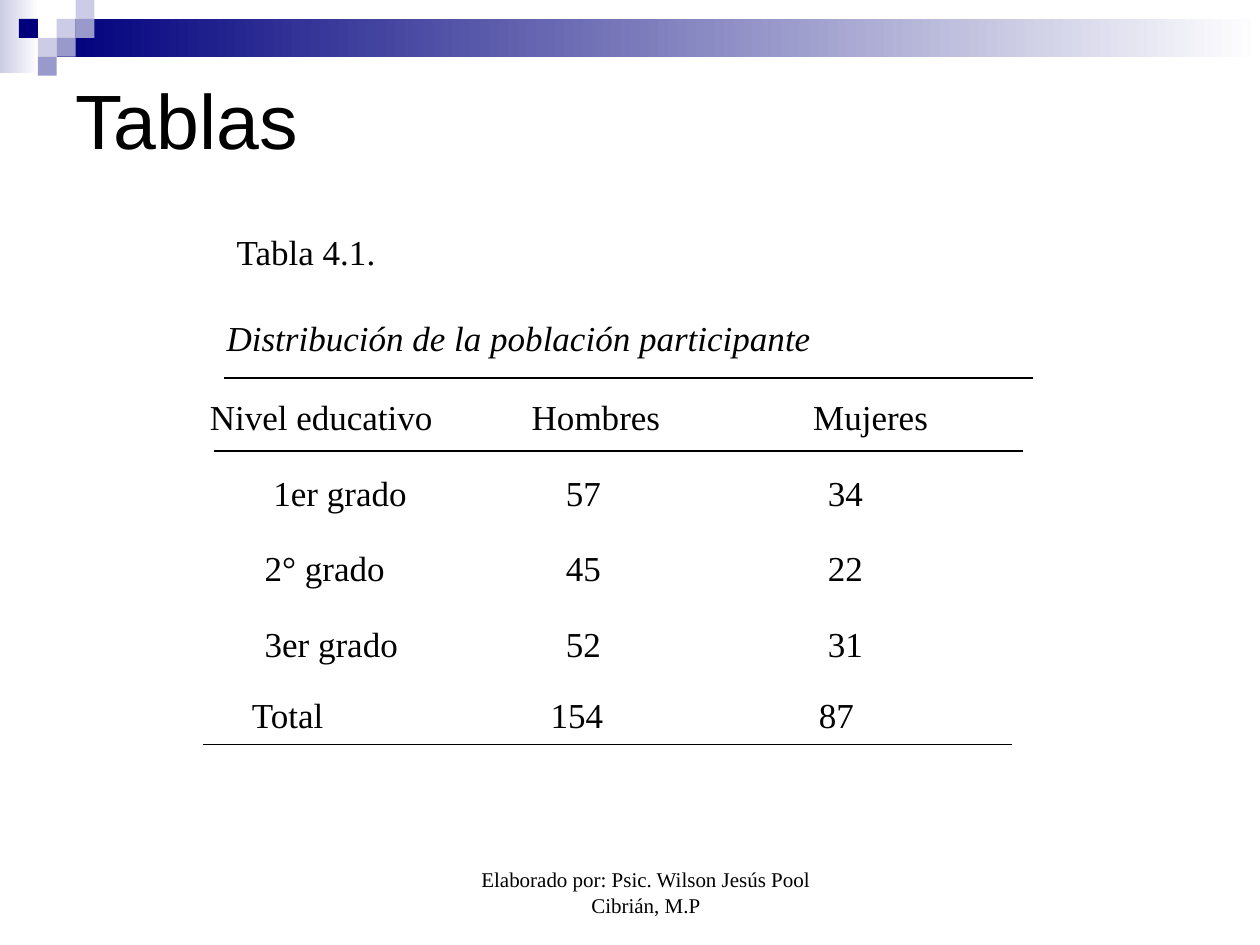
from lxml import etree
from pptx import Presentation
from pptx import util as u
from pptx.dml.color import RGBColor
from pptx.enum import shapes, text
from pptx.oxml.ns import qn

WIDTH, HEIGHT = 10, 7.5
SERIF = "Times New Roman"
BLACK, WHITE, NAVY = "000000", "FFFFFF", "00007D"
LILAC, VIOLET = "CCCCE6", "9999CC"
LEFT, CENTER = text.PP_ALIGN.LEFT, text.PP_ALIGN.CENTER
TOP, MIDDLE, BOTTOM = (text.MSO_ANCHOR.TOP, text.MSO_ANCHOR.MIDDLE,
                       text.MSO_ANCHOR.BOTTOM)

# Header pattern: squares placed by column and row of a small grid
UNIT = 0.15
SQUARES = [(3, 1, LILAC), (4, 0, LILAC), (4, 1, VIOLET), (2, 2, LILAC),
           (1, 1, NAVY), (3, 2, VIOLET), (2, 3, VIOLET)]

# Table grid: each cell holds its wording, left margin and alignment
TABLE_LEFT, TABLE_TOP = 1.51, 3.12
COLUMN_WIDTH, ROW_HEIGHT = 2.08, 0.6
ROWS = [
    [("Nivel educativo", 0.1, CENTER), ("Hombres", 0.3, CENTER), ("Mujeres", 0.5, CENTER)],
    [("1er grado", 0.66, LEFT), ("57", 0.1, CENTER), ("34", 0.1, CENTER)],
    [("2° grado", 0.59, LEFT), ("45", 0.1, CENTER), ("22", 0.1, CENTER)],
    [("3er grado", 0.59, LEFT), ("52", 0.1, CENTER), ("31", 0.1, CENTER)],
    [("Total", 0.49, LEFT), ("154", 0.78, LEFT), ("87", 0.83, LEFT)],
]

# Rules of the table: left end and height, all of one length
RULE_LENGTH = 6.42
RULES = [(1.78, 3), (1.7, 3.58), (1.61, 5.91)]


def color(value):
    return RGBColor.from_string(value)


def set_values(target, values):
    for name, value in values.items():
        setattr(target, name, value)


def write(frame, wording, size=20, font=SERIF, italic=False, align=LEFT):
    paragraph = frame.paragraphs[0]
    paragraph.alignment = align
    run = paragraph.add_run()
    run.text = wording
    set_values(run.font, {"size": u.Pt(size), "name": font,
                          "italic": italic, "bold": False})
    run.font.color.rgb = color(BLACK)


def add_text(slide, box, wording, anchor=TOP, left=0.1, top=0.05, **style):
    shape = slide.shapes.add_textbox(*map(u.Inches, box))
    set_values(shape.text_frame, {
        "word_wrap": True, "vertical_anchor": anchor,
        "margin_left": u.Inches(left), "margin_top": u.Inches(top)})
    write(shape.text_frame, wording, **style)


def add_block(slide, box, start, end=None):
    """Draw a plain rectangle, or one that fades from start to end."""
    shape = slide.shapes.add_shape(shapes.MSO_SHAPE.RECTANGLE, *map(u.Inches, box))
    shape.shadow.inherit = False
    shape.line.fill.background()
    if end is None:
        shape.fill.solid()
        shape.fill.fore_color.rgb = color(start)
        return
    shape.fill.gradient()
    shape.fill.gradient_angle = 0
    for stop, value in zip(shape.fill.gradient_stops, (start, end)):
        stop.color.rgb = color(value)


def add_rule(slide, left, top):
    line = slide.shapes.add_connector(
        shapes.MSO_CONNECTOR.STRAIGHT,
        *map(u.Inches, (left, top, left + RULE_LENGTH, top)))
    line.line.color.rgb = color(BLACK)
    line.line.width = u.Pt(0.75)
    etree.SubElement(line._element.spPr, qn("a:effectLst"))


def add_data_table(slide):
    columns = len(ROWS[0])
    box = (TABLE_LEFT, TABLE_TOP, columns * COLUMN_WIDTH, len(ROWS) * ROW_HEIGHT)
    table = slide.shapes.add_table(len(ROWS), columns, *map(u.Inches, box)).table
    set_values(table, {"first_row": False, "horz_banding": False})
    for row, cells in enumerate(ROWS):
        # The totals sit slightly closer to the row above
        top = 0.01 if row == len(ROWS) - 1 else 0.05
        for column, (wording, left, align) in enumerate(cells):
            cell = table.cell(row, column)
            cell.fill.background()
            set_values(cell, {"vertical_anchor": TOP, "margin_left": u.Inches(left),
                              "margin_right": u.Inches(0.1), "margin_top": u.Inches(top)})
            write(cell.text_frame, wording, align=align)


def main():
    presentation = Presentation()
    set_values(presentation, {"slide_width": u.Inches(WIDTH),
                              "slide_height": u.Inches(HEIGHT)})
    slide = presentation.slides.add_slide(presentation.slide_layouts[6])

    # Header band and squares
    add_block(slide, (0, 0, 0.31, 0.58), LILAC, WHITE)
    add_block(slide, (3 * UNIT, UNIT, WIDTH - 3 * UNIT, 2 * UNIT), NAVY, WHITE)
    for column, row, fill in SQUARES:
        add_block(slide, (column * UNIT, row * UNIT, UNIT, UNIT), fill)

    # Title and table captions
    add_text(slide, (0.5, 0.5, 9, 0.89), "Tablas", MIDDLE, size=44, font="Arial")
    add_text(slide, (1.78, 1.78, 2.25, 0.44), "Tabla 4.1.")
    add_text(slide, (1.7, 2.2, 6.14, 0.99), "Distribución de la población participante",
             top=0.31, italic=True)

    # Table with its rules
    add_data_table(slide)
    for left, top in RULES:
        add_rule(slide, left, top)

    # Footer
    add_text(slide, (3.42, 6.83, 3.17, 0.5),
             "Elaborado por: Psic. Wilson Jesús Pool Cibrián, M.P",
             BOTTOM, left=0.34, size=12, align=CENTER)

    presentation.save("out.pptx")


if __name__ == "__main__":
    main()
